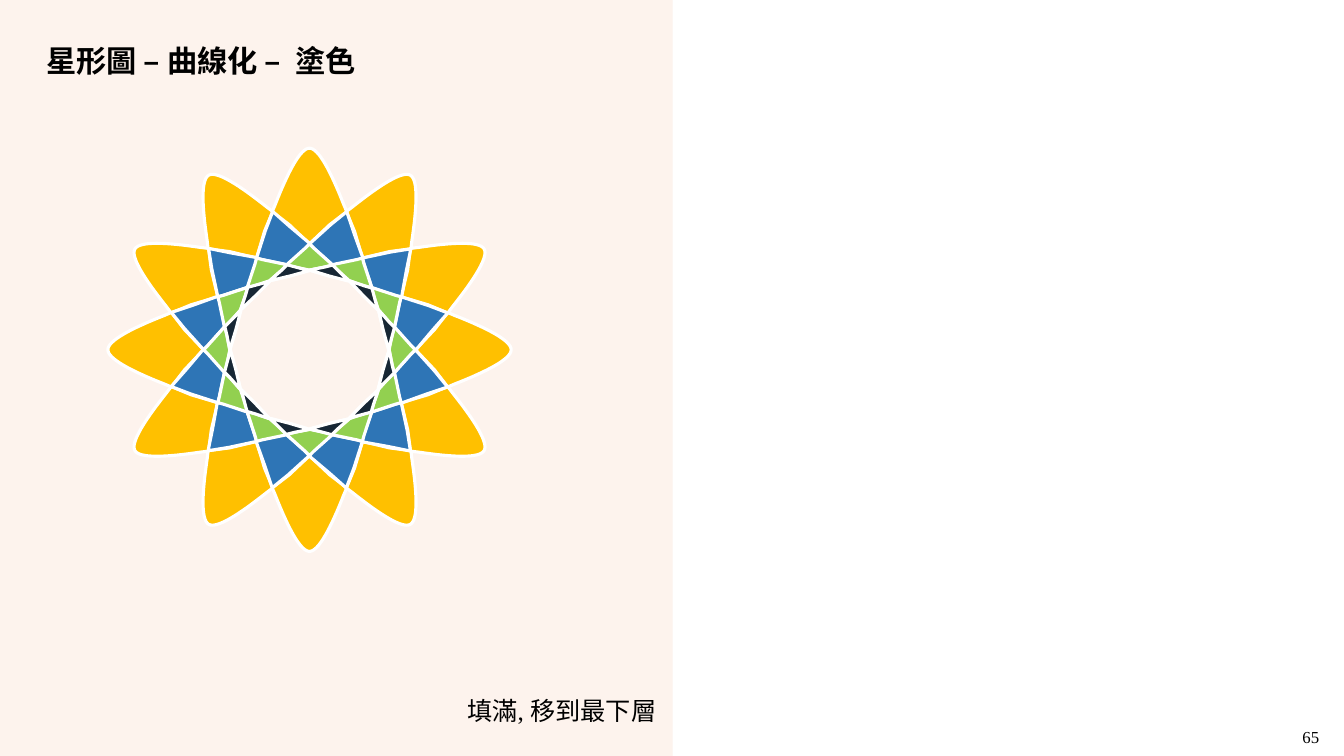
from math import cos, radians, sin

from lxml import etree
from pptx import Presentation
from pptx import util as u
from pptx.dml.color import RGBColor
from pptx.enum import shapes, text
from pptx.oxml.ns import qn

COLOURS = {
    "panel": "F4B183", "edge": "FBE5D6", "ink": "000000", "outline": "FFFFFF",
    "petal": "FFC000", "kite": "2E75B6", "leaf": "92D050", "sliver": "172735",
}
CJK = "Noto Sans CJK SC"
LATIN = "Times New Roman"
TURNS = 12

# Outlines of the topmost pieces, measured from the star's centre
PETAL_CURVE = [(0, -2), (0.09, -2), (0.21, -1.77), (0.34, -1.44)]
PETAL_FOOT = [(0.37, -1.37), (0.2, -1.24), (0, -1.05)]
KITE = [(0.37, -1.37), (0.44, -1.16), (0.53, -0.91), (0.48, -0.89),
        (0.23, -0.84), (0.04, -1.01), (0, -1.05), (0.21, -1.24)]
LEAF_HALF = [(0, -1.05), (0.04, -1.01), (0.23, -0.84), (0.15, -0.82), (0, -0.79)]
SLIVER = [(0.23, -0.84), (0.29, -0.78), (0.39, -0.68), (0.2, -0.73),
          (0, -0.79), (0.15, -0.82)]
RING_STEP = [(0, -0.79), (0.2, -0.73)]


def rgb(name):
    return RGBColor.from_string(COLOURS[name])


def set_alpha(fill, percent):
    colour = fill._xPr.find(".//" + qn("a:srgbClr"))
    etree.SubElement(colour, qn("a:alpha")).set("val", str(percent * 1000))


def write(shape, words, size, font=LATIN, bold=False, align=text.PP_ALIGN.LEFT,
          anchor=text.MSO_ANCHOR.TOP, wrap=True, spacing=None):
    frame = shape.text_frame
    frame.word_wrap = wrap
    frame.auto_size = text.MSO_AUTO_SIZE.NONE
    frame.vertical_anchor = anchor
    line = frame.paragraphs[0]
    line.alignment = align
    line.line_spacing = spacing
    run = line.add_run()
    run.text = words
    run.font.size = u.Pt(size)
    run.font.bold = bold
    run.font.name = font
    run.font.color.rgb = rgb("ink")
    east_asian = etree.Element(qn("a:ea"))
    east_asian.set("typeface", CJK)
    run.font._element.find(qn("a:latin")).addnext(east_asian)


def bezier(a, b, c, d, steps=16):
    for i in range(steps + 1):
        t = i / steps
        s = 1 - t
        yield tuple(s**3 * p + 3 * s * s * t * q + 3 * s * t * t * r + t**3 * v
                    for p, q, r, v in zip(a, b, c, d))


def mirrored(half):
    """Close a half outline whose two ends lie on the vertical axis."""
    return half + [(-x, y) for x, y in half[-2:0:-1]]


def rotated(points, turn):
    angle = radians(360 / TURNS * turn)
    return [(x * cos(angle) - y * sin(angle), x * sin(angle) + y * cos(angle))
            for x, y in points]


def add_piece(parent, points, centre, fill=None):
    corners = [(u.Inches(centre[0] + x), u.Inches(centre[1] + y)) for x, y in points]
    builder = parent.build_freeform(*corners[0], scale=1.0)
    builder.add_line_segments(corners[1:], close=True)
    piece = builder.convert_to_shape()
    piece.shadow.inherit = False
    if fill:
        piece.fill.solid()
        piece.fill.fore_color.rgb = rgb(fill)
    else:
        piece.fill.background()
    piece.line.color.rgb = rgb("outline")
    piece.line.width = u.Pt(2.25)


def add_panel(slide, left, top, width, height):
    panel = slide.shapes.add_shape(shapes.MSO_SHAPE.RECTANGLE, u.Inches(left),
                                   u.Inches(top), u.Inches(width), u.Inches(height))
    panel.shadow.inherit = False
    panel.fill.solid()
    panel.fill.fore_color.rgb = rgb("panel")
    set_alpha(panel.fill, 14)
    panel.line.fill.background()
    right = u.Inches(left + width)
    edge = slide.shapes.add_connector(shapes.MSO_CONNECTOR.STRAIGHT, right,
                                      u.Inches(top + height), right, u.Inches(top))
    edge.line.color.rgb = rgb("edge")
    edge.line.width = u.Pt(0.25)
    set_alpha(edge.line.fill, 50)
    etree.SubElement(edge._element.spPr, qn("a:effectLst"))
    # Keep the title in front of the panel
    title = slide.shapes.title._element
    edge._element.addnext(title)


def add_title(slide, left, top, width, height):
    title = slide.shapes.title
    title.left, title.top = u.Inches(left), u.Inches(top)
    title.width, title.height = u.Inches(width), u.Inches(height)
    write(title, "星形圖 – 曲線化 –  塗色", 21.6, font=CJK, bold=True,
          anchor=text.MSO_ANCHOR.MIDDLE, spacing=0.9)


def add_star(slide, left, top, size):
    centre = (left + size / 2, top + size / 2)
    # Inner ring
    ring = [p for turn in range(TURNS) for p in rotated(RING_STEP, turn)]
    add_piece(slide.shapes, ring, centre)
    # Coloured layers, outermost first
    layers = {
        "petal": mirrored(list(bezier(*PETAL_CURVE)) + PETAL_FOOT),
        "kite": KITE,
        "leaf": mirrored(LEAF_HALF),
        "sliver": SLIVER,
    }
    for layer, outline in layers.items():
        group = slide.shapes.add_group_shape()
        for turn in range(TURNS):
            add_piece(group.shapes, rotated(outline, turn), centre, layer)


def add_caption(slide, left, top, width, height):
    caption = slide.shapes.add_shape(shapes.MSO_SHAPE.ROUNDED_RECTANGLE, u.Inches(left),
                                     u.Inches(top), u.Inches(width), u.Inches(height))
    caption.shadow.inherit = False
    caption.fill.background()
    caption.line.fill.background()
    write(caption, "填滿, 移到最下層", 18, align=text.PP_ALIGN.RIGHT,
          anchor=text.MSO_ANCHOR.MIDDLE)


def add_page_number(slide, left, top, width, height):
    number = slide.shapes.add_textbox(u.Inches(left), u.Inches(top),
                                      u.Inches(width), u.Inches(height))
    write(number, "65", 12, wrap=False)


def main():
    deck = Presentation()
    deck.slide_width, deck.slide_height = u.Inches(13.33), u.Inches(7.5)
    slide = deck.slides.add_slide(deck.slide_layouts[5])
    add_panel(slide, 0, 0, 6.67, 7.5)
    add_title(slide, 0.36, 0.4, 5.95, 0.44)
    add_star(slide, 1.07, 1.47, 4)
    add_caption(slide, 4.5, 6.82, 2.13, 0.45)
    add_page_number(slide, 12.82, 7.16, 0.37, 0.3)
    deck.save("out.pptx")


if __name__ == "__main__":
    main()
